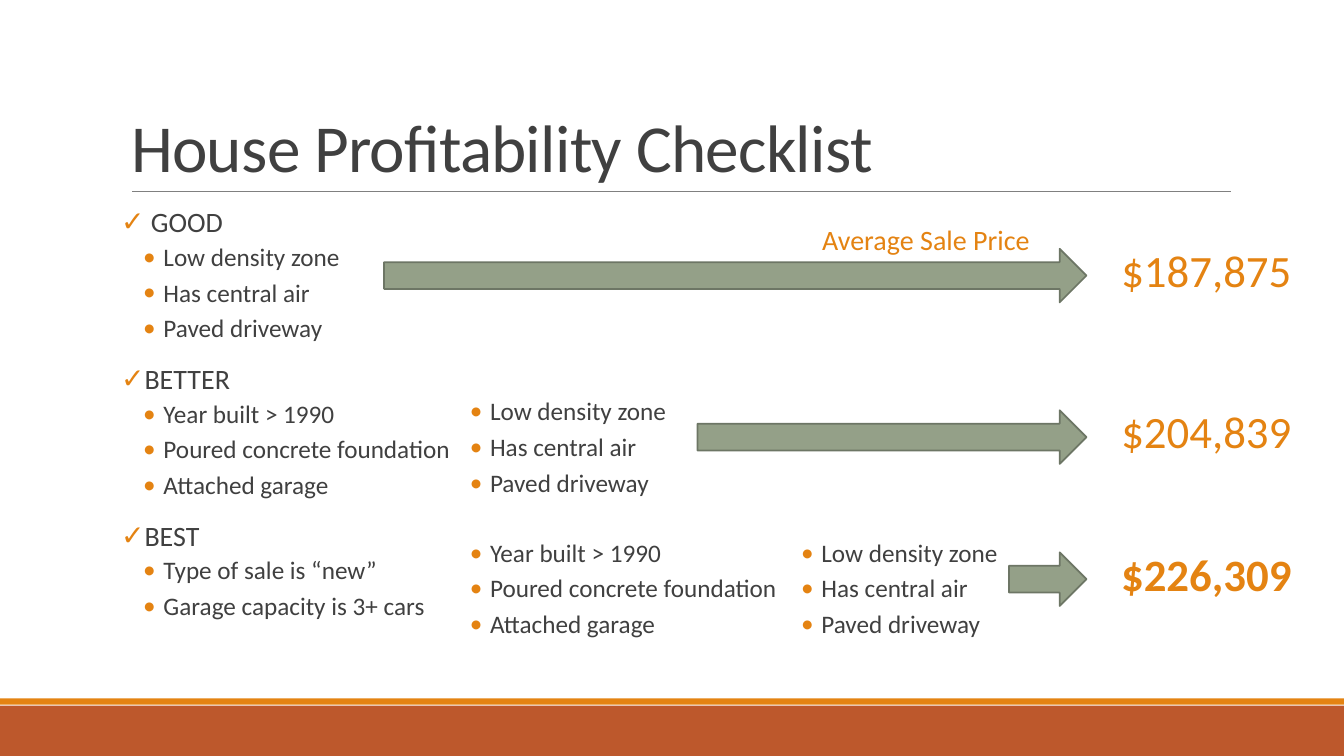
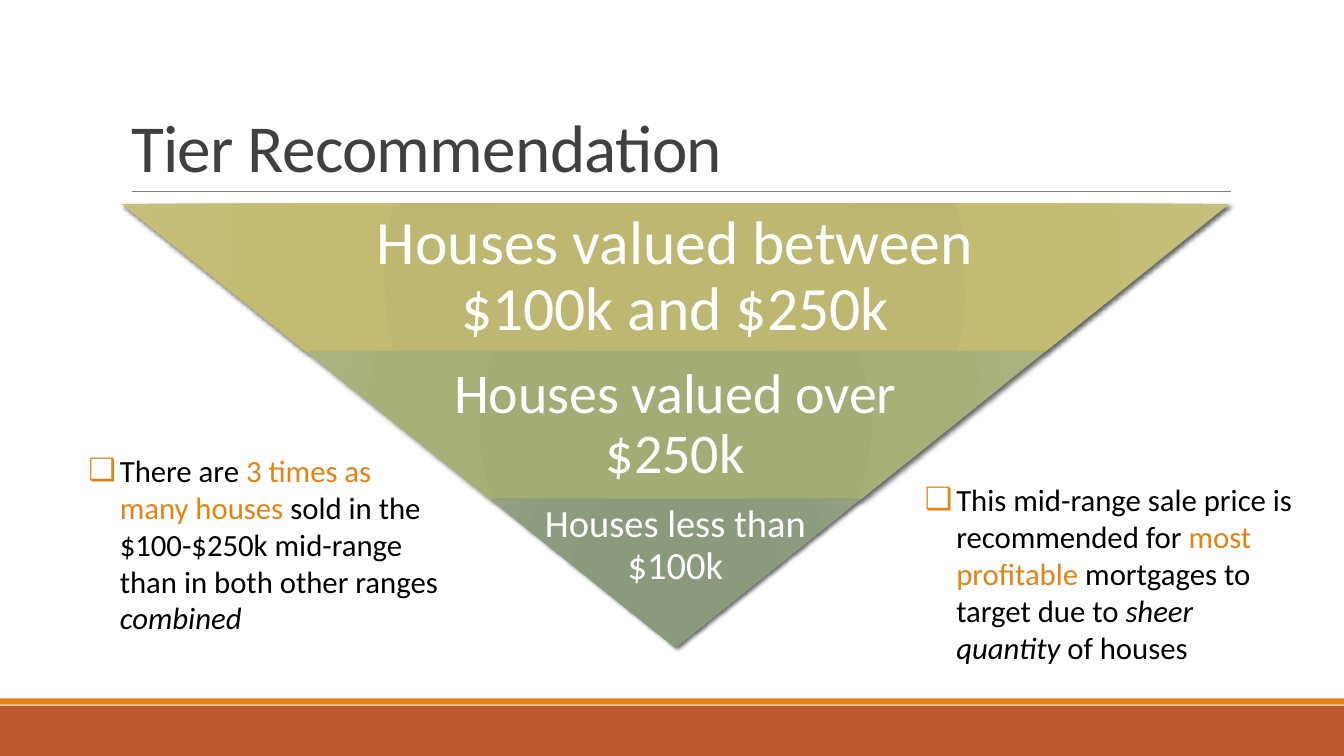
from dataclasses import dataclass
from typing import NamedTuple

from pptx import Presentation
from pptx.dml.color import RGBColor
from pptx.enum.shapes import MSO_CONNECTOR, MSO_SHAPE
from pptx.enum.text import MSO_ANCHOR as Anchor, MSO_AUTO_SIZE as AutoSize, PP_ALIGN as Align
from pptx.oxml import parse_xml
from pptx.oxml.ns import nsdecls
from pptx.util import Cm, Pt


@dataclass(frozen=True)
class Theme:
    font: str = "Calibri"
    text: RGBColor = RGBColor(0x40, 0x40, 0x40)
    note: RGBColor = RGBColor(0, 0, 0)
    light: RGBColor = RGBColor(0xFF, 0xFF, 0xFF)
    accent: RGBColor = RGBColor(0xE4, 0x83, 0x12)
    band: RGBColor = RGBColor(0xBD, 0x58, 0x2C)
    rule: RGBColor = RGBColor(0x80, 0x80, 0x80)
    arrow: RGBColor = RGBColor(0x94, 0xA0, 0x88)
    arrow_edge: RGBColor = RGBColor(0x6D, 0x76, 0x65)
    title_size: float = 48
    price_size: float = 32
    note_size: float = 22
    heading_size: float = 20
    item_size: float = 18


THEME = Theme()
WIDTH, HEIGHT = 33.87, 19.05


class Box(NamedTuple):
    left: float
    top: float
    width: float
    height: float


class Bullet(NamedTuple):
    mark: str
    margin: float
    hanging: float


class Style(NamedTuple):
    size: float
    color: RGBColor = THEME.text
    bullet: Bullet | None = None
    layout: dict = {}


class Span(NamedTuple):
    text: str
    format: dict = {}
    color: RGBColor | None = None


class Line(NamedTuple):
    spans: list[Span]
    style: Style


class Block(NamedTuple):
    left: float
    top: float
    items: list[str]


class Price(NamedTuple):
    arrow_left: float
    top: float
    amount: str
    bold: bool = False


class Tier(NamedTuple):
    text: str
    text_width: float
    size: float
    anchor: Anchor
    gradient: list[str]


class Note(NamedTuple):
    box: Box
    spans: list[Span]


TITLE = Style(THEME.title_size, layout={"alignment": Align.LEFT, "line_spacing": 0.85})
HEADING = Style(THEME.heading_size, bullet=Bullet("✓", 0.25, 0.25), layout={
    "line_spacing": 0.9, "space_before": Pt(12), "space_after": Pt(2)})
ITEM = Style(THEME.item_size, bullet=Bullet("•", 1.07, 0.51), layout={
    "level": 1, "line_spacing": 0.9, "space_before": Pt(2), "space_after": Pt(4)})
LABEL = Style(THEME.heading_size, THEME.accent)
PRICE = Style(THEME.price_size, THEME.accent, layout={"alignment": Align.CENTER})
NOTE = Style(THEME.note_size, THEME.note, Bullet("❑", 0.79, 0.79))

GOOD = ["Low density zone", "Has central air", "Paved driveway"]
BETTER = ["Year built > 1990", "Poured concrete foundation", "Attached garage"]
BEST = ["Type of sale is “new”", "Garage capacity is 3+ cars"]
CHECKLIST = {" GOOD": GOOD, "BETTER": BETTER, "BEST": BEST}

BLOCKS = [Block(11.28, 9.93, GOOD), Block(11.28, 13.49, BETTER), Block(19.63, 13.49, GOOD)]
ARROW_END = 27.38
PRICES = [
    Price(9.68, 6.27, "$187,875"),
    Price(17.58, 10.34, "$204,839"),
    Price(25.43, 13.92, "$226,309", True),
]

PYRAMID = Box(3.05, 5.13, 27.94, 11.19)
STOPS = [0, 34, 70, 100]
TIERS = [
    Tier("Houses valued between $100k and $250k", 18.16, 44, Anchor.MIDDLE,
         ["BEB76E", "BEB771", "C3BB71", "C5BF7D"]),
    Tier("Houses valued over $250k", 12.12, 40, Anchor.MIDDLE,
         ["A1AC74", "A2AD76", "A5B077", "AAB481"]),
    Tier("Houses less than $100k", 9, 27.5, Anchor.TOP,
         ["8A987B", "8B997D", "8D9C7E", "94A187"]),
]

ITALIC = {"italic": True}
NOTES = [
    Note(Box(1.98, 11.25, 9.35, 4.95), [
        Span("There are "),
        Span("3 times as many houses ", color=THEME.accent),
        Span("sold in the $100-$250k mid-range than in both other ranges "),
        Span("combined", ITALIC),
    ]),
    Note(Box(23.06, 11.99, 10.03, 4.95), [
        Span("This mid-range sale price is recommended for "),
        Span("most profitable ", color=THEME.accent),
        Span("mortgages to target due to "),
        Span("sheer quantity ", ITALIC),
        Span("of houses"),
    ]),
]


def apply(target, values: dict) -> None:
    for name, value in values.items():
        setattr(target, name, value)


def place(shape, box: Box) -> None:
    apply(shape, {name: Cm(value) for name, value in box._asdict().items()})


def set_bullet(paragraph, bullet: Bullet) -> None:
    properties = paragraph._p.get_or_add_pPr()
    properties.set("marL", str(Cm(bullet.margin)))
    properties.set("indent", str(-Cm(bullet.hanging)))
    for xml in (
        f'<a:buClr {nsdecls("a")}><a:srgbClr val="{THEME.accent}"/></a:buClr>',
        f'<a:buFont {nsdecls("a")} typeface="{THEME.font}"/>',
        f'<a:buChar {nsdecls("a")} char="{bullet.mark}"/>',
    ):
        properties.append(parse_xml(xml))


def write(shape, lines: list[Line], frame_format: dict | None = None) -> None:
    frame = shape.text_frame
    apply(frame, {"word_wrap": True, "auto_size": AutoSize.NONE, **(frame_format or {})})
    for index, (spans, style) in enumerate(lines):
        paragraph = frame.add_paragraph() if index else frame.paragraphs[0]
        apply(paragraph, style.layout)
        if style.bullet:
            set_bullet(paragraph, style.bullet)
        for span in spans:
            run = paragraph.add_run()
            run.text = span.text
            apply(run.font, {"name": THEME.font, "size": Pt(style.size), **span.format})
            run.font.color.rgb = span.color or style.color


def add_text(slide, box: Box, lines: list[Line], frame_format: dict | None = None) -> None:
    shape = slide.shapes.add_textbox(*(Cm(value) for value in box))
    write(shape, lines, frame_format)


def add_solid(slide, preset: MSO_SHAPE, box: Box, fill: RGBColor, edge: RGBColor | None = None) -> None:
    shape = slide.shapes.add_shape(preset, *(Cm(value) for value in box))
    shape.shadow.inherit = False
    shape.fill.solid()
    shape.fill.fore_color.rgb = fill
    if edge:
        shape.line.color.rgb = edge
        shape.line.width = Pt(1.25)
    else:
        shape.line.fill.background()


def side_margins(horizontal: float, vertical: float) -> dict:
    return {"margin_left": Cm(horizontal), "margin_right": Cm(horizontal),
            "margin_top": Cm(vertical), "margin_bottom": Cm(vertical)}


def start_slide(presentation, layout: int, title: str):
    slide = presentation.slides.add_slide(presentation.slide_layouts[layout])
    add_solid(slide, MSO_SHAPE.RECTANGLE, Box(0, 17.78, WIDTH, 1.27), THEME.band)
    add_solid(slide, MSO_SHAPE.RECTANGLE, Box(0, 17.6, WIDTH, 0.16), THEME.accent)
    rule = slide.shapes.add_connector(MSO_CONNECTOR.STRAIGHT, Cm(3.33), Cm(4.82), Cm(31.01), Cm(4.82))
    rule.line.color.rgb = THEME.rule
    rule.line.width = Pt(0.5)
    rule._element.spPr.append(parse_xml(f'<a:effectLst {nsdecls("a")}/>'))
    heading = slide.shapes.title
    place(heading, Box(3.05, 0.79, 27.94, 4.04))
    write(heading, [Line([Span(title)], TITLE)], {"vertical_anchor": Anchor.BOTTOM})
    for run in heading.text_frame.paragraphs[0].runs:
        run._r.get_or_add_rPr().set("spc", "-50")
    return slide


def item_lines(items: list[str]) -> list[Line]:
    return [Line([Span(item)], ITEM) for item in items]


def build_checklist(presentation) -> None:
    slide = start_slide(presentation, 1, "House Profitability Checklist")
    body = slide.placeholders[1]
    place(body, Box(3.05, 5.13, 12.29, 11.18))
    lines = []
    for heading, items in CHECKLIST.items():
        lines += [Line([Span(heading)], HEADING), *item_lines(items)]
    write(body, lines, side_margins(0, 0.13))
    for block in BLOCKS:
        add_text(slide, Box(block.left, block.top, 8.53, 2.9), item_lines(block.items), side_margins(0, 0.13))
    for price in PRICES:
        arrow = Box(price.arrow_left, price.top, ARROW_END - price.arrow_left, 1.35)
        add_solid(slide, MSO_SHAPE.RIGHT_ARROW, arrow, THEME.arrow, THEME.arrow_edge)
        amount = Span(price.amount, {"bold": price.bold})
        add_text(slide, Box(ARROW_END, price.top - 0.28, 6.05, 1.63), [Line([amount], PRICE)])
    add_text(slide, Box(20.47, 5.49, 7.59, 1.12), [Line([Span("Average Sale Price")], LABEL)])


def add_tier_shape(slide, box: Box, slant: float, colors: list[str]) -> None:
    shape = slide.shapes.add_shape(MSO_SHAPE.TRAPEZOID, *(Cm(value) for value in box))
    shape.rotation = 180
    shape.adjustments[0] = slant / box.height
    shape.line.fill.background()
    stops = "".join(
        f'<a:gs pos="{stop * 1000}"><a:srgbClr val="{color}"/></a:gs>'
        for stop, color in zip(STOPS, colors))
    properties = shape._element.spPr
    properties.ln.addprevious(parse_xml(
        f'<a:gradFill {nsdecls("a")} rotWithShape="1"><a:gsLst>{stops}</a:gsLst><a:path path="circle">'
        '<a:fillToRect l="100000" t="100000" r="100000" b="100000"/></a:path></a:gradFill>'))
    properties.append(parse_xml(
        f'<a:effectLst {nsdecls("a")}><a:outerShdw blurRad="{Pt(3)}" dist="{Pt(2)}" dir="2700000" '
        'rotWithShape="0"><a:srgbClr val="000000"><a:alpha val="60000"/></a:srgbClr>'
        '</a:outerShdw></a:effectLst>'))


def build_tiers(presentation) -> None:
    slide = start_slide(presentation, 5, "Tier Recommendation")
    count = len(TIERS)
    height = PYRAMID.height / count
    slant = PYRAMID.width / count / 2
    center = PYRAMID.left + PYRAMID.width / 2
    for index, tier in enumerate(TIERS):
        top = PYRAMID.top + index * height
        width = PYRAMID.width - 2 * slant * index
        add_tier_shape(slide, Box(center - width / 2, top, width, height), slant, tier.gradient)
        style = Style(tier.size, THEME.light, layout={"alignment": Align.CENTER, "line_spacing": 0.9})
        add_text(slide, Box(center - tier.text_width / 2, top, tier.text_width, height),
                 [Line([Span(tier.text)], style)], {"vertical_anchor": tier.anchor, **side_margins(0.12, 0.12)})
    for note in NOTES:
        add_text(slide, note.box, [Line(note.spans, NOTE)])


def main() -> None:
    presentation = Presentation()
    presentation.slide_width = Cm(WIDTH)
    presentation.slide_height = Cm(HEIGHT)
    build_checklist(presentation)
    build_tiers(presentation)
    presentation.save("out.pptx")


if __name__ == "__main__":
    main()
